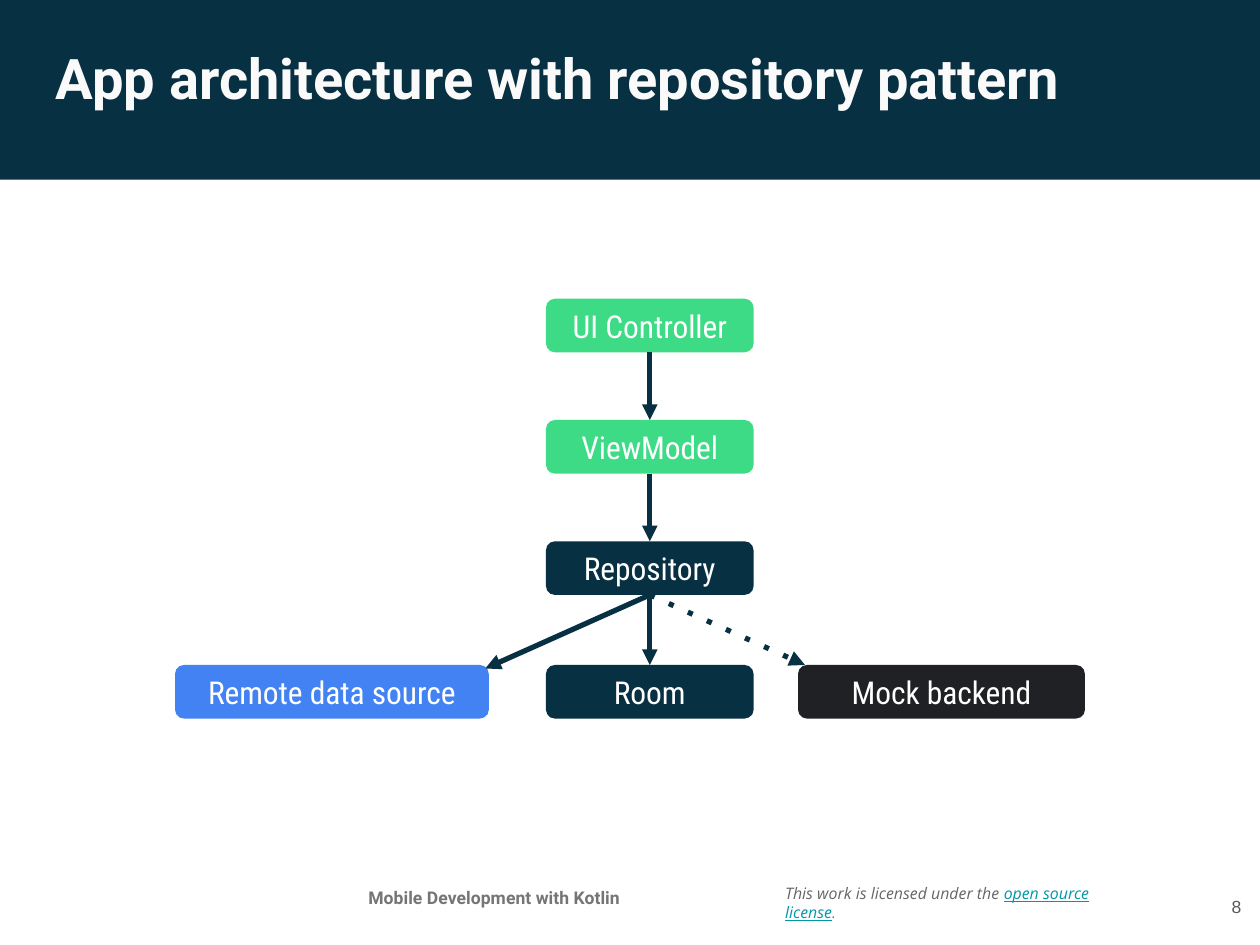
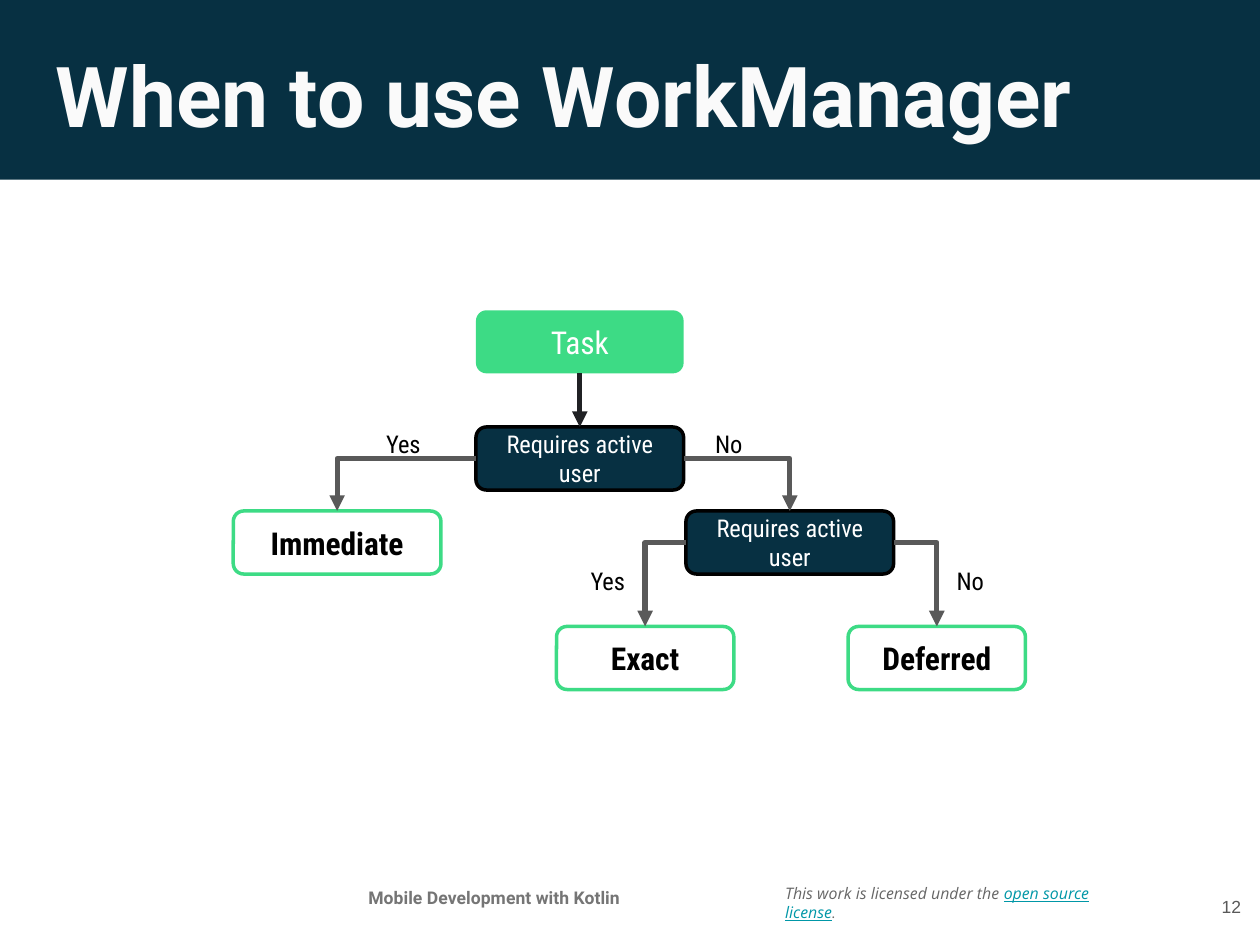
from lxml import etree
from pptx import Presentation
from pptx.dml.color import RGBColor
from pptx.enum import shapes, text
from pptx.oxml import ns
from pptx.util import Pt

NAVY = RGBColor(0x07, 0x30, 0x42)
GREEN = RGBColor(0x3D, 0xDB, 0x85)
BLUE = RGBColor(0x42, 0x82, 0xF2)
CHARCOAL = RGBColor(0x20, 0x21, 0x24)
GRAY = RGBColor(0x59, 0x59, 0x59)
LICENSE_GRAY = RGBColor(0x66, 0x66, 0x66)
FOOTER_GRAY = RGBColor(0x75, 0x75, 0x75)
TEAL = RGBColor(0x00, 0x97, 0xA7)
OFF_WHITE = RGBColor(0xFA, 0xFA, 0xFA)
WHITE = RGBColor(0xFF, 0xFF, 0xFF)
BLACK = RGBColor(0, 0, 0)

LEFT, CENTER, RIGHT = (text.PP_ALIGN.LEFT, text.PP_ALIGN.CENTER,
                       text.PP_ALIGN.RIGHT)
TOP, MIDDLE = text.MSO_ANCHOR.TOP, text.MSO_ANCHOR.MIDDLE
TOP_SIDE, LEFT_SIDE, BOTTOM_SIDE, RIGHT_SIDE = range(4)
TITLE_ONLY = 5


def font(name, size, color, **extra):
    return dict(name=name, size=Pt(size), color=color, **extra)


NODE_FONT = font("Roboto Condensed", 13.5, WHITE)
CHECK_FONT = font("Roboto Condensed", 10.5, WHITE)
ANSWER_FONT = font("Roboto Condensed", 10.5, BLACK)
RESULT_FONT = font("Roboto Condensed", 13.5, BLACK, bold=True)
FOOTER_FONT = font("Roboto", 7.5, FOOTER_GRAY, bold=True)
NUMBER_FONT = font("Arial", 7.5, GRAY)
LICENSE_FONT = font("Open Sans", 6.8, LICENSE_GRAY, italic=True)


def side_point(sp, side):
    """Middle of one side of a shape, sides numbered as connection sites."""
    mid_x, mid_y = sp.left + sp.width // 2, sp.top + sp.height // 2
    return ((mid_x, sp.top), (sp.left, mid_y),
            (mid_x, sp.top + sp.height), (sp.left + sp.width, mid_y))[side]


class Deck:
    def __init__(self):
        self.prs = Presentation()
        self.prs.slide_width, self.prs.slide_height = Pt(540), Pt(405)
        self.s = None

    def slide(self, title, title_size, number):
        """Start a slide with the shared band, title and footer."""
        self.s = self.prs.slides.add_slide(self.prs.slide_layouts[TITLE_ONLY])
        self.box(-1, -3, 542, 80, NAVY, kind=shapes.MSO_SHAPE.RECTANGLE)
        heading = self.s.shapes.title
        heading.left, heading.top, heading.width, heading.height = map(
            Pt, (19, 13.5, 503, 45.5))
        self.s.shapes.element.append(heading.element)  # in front of the band
        self.fill_text(heading, [(title, font("Roboto", title_size, OFF_WHITE,
                                              bold=True))], LEFT, TOP)
        self.label(331.5, 370, 158, 34, [
            ("This work is licensed under the ", LICENSE_FONT),
            ("open source license", {**LICENSE_FONT, "color": TEAL,
                                     "underline": True}),
            (".", {**LICENSE_FONT, "name": "Roboto"})])
        self.label(135.5, 375, 152.5, 23,
                   [("Mobile Development with Kotlin", FOOTER_FONT)],
                   CENTER, TOP)
        self.label(505, 373, 32, 31, [(number, NUMBER_FONT)], RIGHT)

    def fill_text(self, sp, runs, align=LEFT, anchor=MIDDLE):
        tf = sp.text_frame
        margins = {f"margin_{side}": Pt(5)
                   for side in ("left", "top", "right", "bottom")}
        frame = dict(margins, word_wrap=True, vertical_anchor=anchor,
                     auto_size=text.MSO_AUTO_SIZE.NONE)
        for key, value in frame.items():
            setattr(tf, key, value)
        p = tf.paragraphs[0]
        p.alignment = align
        for words, style in runs:
            r = p.add_run()
            r.text = words
            for key, value in style.items():
                if key == "color":
                    r.font.color.rgb = value
                else:
                    setattr(r.font, key, value)

    def label(self, x, y, w, h, runs, align=LEFT, anchor=MIDDLE):
        sp = self.s.shapes.add_textbox(Pt(x), Pt(y), Pt(w), Pt(h))
        self.fill_text(sp, runs, align, anchor)

    def box(self, x, y, w, h, fill, words=None, style=NODE_FONT, outline=None,
            kind=shapes.MSO_SHAPE.ROUNDED_RECTANGLE):
        sp = self.s.shapes.add_shape(kind, Pt(x), Pt(y), Pt(w), Pt(h))
        sp.shadow.inherit = False
        sp.fill.solid()
        sp.fill.fore_color.rgb = fill
        if outline is None:
            sp.line.fill.background()
        else:
            sp.line.color.rgb = outline
            sp.line.width = Pt(1.5)
        if words:
            self.fill_text(sp, [(words, style)], CENTER)
        return sp

    def arrow(self, start, side, end, color=NAVY, bent=False, dash=None):
        """Arrow from a side of start to the top of a shape, or to a point."""
        to_point = isinstance(end, tuple)
        target = tuple(map(Pt, end)) if to_point else side_point(end, TOP_SIDE)
        kind = shapes.MSO_CONNECTOR.ELBOW if bent else shapes.MSO_CONNECTOR.STRAIGHT
        cxn = self.s.shapes.add_connector(kind, *side_point(start, side), *target)
        cxn.begin_connect(start, side)
        if not to_point:
            cxn.end_connect(end, TOP_SIDE)
        cxn.line.color.rgb = color
        cxn.line.width = Pt(2.25)
        props = cxn.element.spPr
        if bent:
            props.find(ns.qn("a:prstGeom")).set("prst", "bentConnector2")
        ln = props.find(ns.qn("a:ln"))
        if dash:
            etree.SubElement(ln, ns.qn("a:prstDash"), val=dash)
        etree.SubElement(ln, ns.qn("a:tailEnd"), type="triangle")
        etree.SubElement(props, ns.qn("a:effectLst"))


def architecture_slide(deck):
    deck.slide("App architecture with repository pattern", 24, "8")
    x, w, h, source_y = 234, 89, 23, 285
    layers = [deck.box(x, 128 + 52 * i, w, h, fill, words)
              for i, (words, fill) in enumerate((("UI Controller", GREEN),
                                                 ("ViewModel", GREEN),
                                                 ("Repository", NAVY)))]
    deck.box(75, source_y, 134.5, h, BLUE, "Remote data source")
    deck.box(342, source_y, 123, h, CHARCOAL, "Mock backend")
    layers.append(deck.box(x, source_y, w, h, NAVY, "Room"))
    for upper, lower in zip(layers, layers[1:]):
        deck.arrow(upper, BOTTOM_SIDE, lower)
    repository = layers[2]
    deck.arrow(repository, BOTTOM_SIDE, (208, 286.5))
    deck.arrow(repository, BOTTOM_SIDE, (345, source_y), dash="dot")


def work_manager_slide(deck):
    deck.slide("When to use WorkManager", 36, "12")
    w, h = 89, 27
    task = deck.box(204, 133, w, h, GREEN, "Task")
    first, second = [
        deck.box(x, y, w, h, NAVY, "Requires active user", CHECK_FONT, BLACK)
        for x, y in ((204, 183), (294, 219))]
    immediate, exact, deferred = [
        deck.box(x, y, width, h, WHITE, words, RESULT_FONT, GREEN)
        for words, x, y, width in (("Immediate", 100, 219, w),
                                   ("Exact", 238.5, 268.5, 76),
                                   ("Deferred", 363.5, 268.5, 76))]
    deck.arrow(task, BOTTOM_SIDE, first, CHARCOAL)
    for check, yes, no in ((first, immediate, second),
                           (second, exact, deferred)):
        deck.arrow(check, LEFT_SIDE, yes, GRAY, bent=True)
        deck.arrow(check, RIGHT_SIDE, no, GRAY, bent=True)
    for words, x, y, align in (("Yes", 160.5, 184.5, LEFT),
                               ("No", 301.5, 184.5, LEFT),
                               ("Yes", 246.5, 243, CENTER),
                               ("No", 405, 243, LEFT)):
        deck.label(x, y, 28, 11.5, [(words, ANSWER_FONT)], align)


def main():
    deck = Deck()
    architecture_slide(deck)
    work_manager_slide(deck)
    deck.prs.save("out.pptx")


if __name__ == "__main__":
    main()
